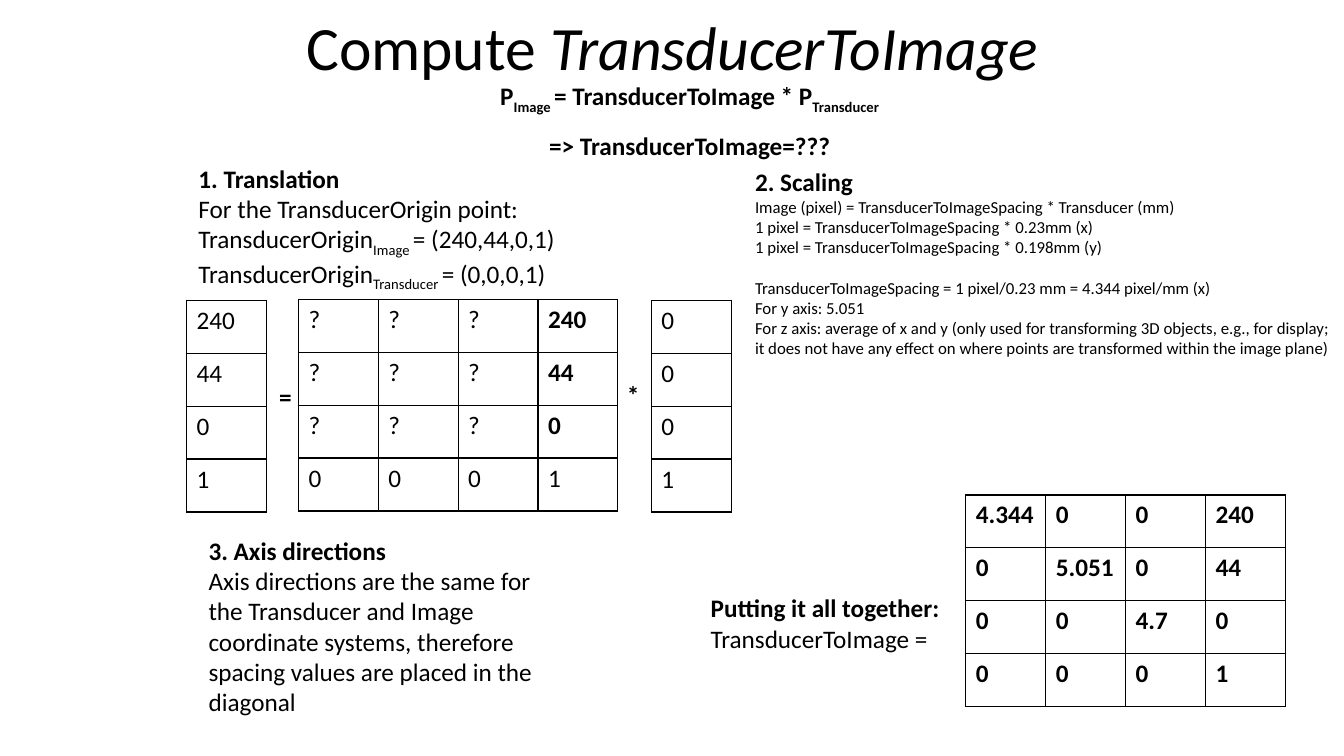
from lxml.etree import SubElement
from pptx import Presentation
from pptx.dml.color import RGBColor
from pptx.enum.text import MSO_ANCHOR, MSO_AUTO_SIZE as AutoSize, PP_ALIGN as Align
from pptx.oxml.ns import qn
from pptx.util import Inches, Pt

FONT, INK = "Calibri", "000000"
CELL_WIDTH, CELL_HEIGHT = 3.17 / 4, 2.1 / 4


def color(hex_code):
    return RGBColor.from_string(hex_code)


def add_run(paragraph, text, size=18, bold=False, italic=False, subscript=False):
    run = paragraph.add_run()
    run.text = text
    font = run.font
    font.name, font.size, font.bold, font.italic = FONT, Pt(size), bold, italic
    font.color.rgb = color(INK)
    if subscript:
        run._r.get_or_add_rPr().set("baseline", "-25000")


def add_note(slide, box, lines, wrap=False):
    """Each line is a list of (text, run format) pairs; returns the paragraphs."""
    frame = slide.shapes.add_textbox(*map(Inches, box)).text_frame
    frame.word_wrap = wrap
    frame.auto_size = AutoSize.SHAPE_TO_FIT_TEXT
    for index, line in enumerate(lines):
        paragraph = frame.add_paragraph() if index else frame.paragraphs[0]
        for text, style in line:
            add_run(paragraph, text, **style)
    return frame.paragraphs


def add_border(cell):
    properties = cell._tc.get_or_add_tcPr()
    for side in ("a:lnL", "a:lnR", "a:lnT", "a:lnB"):
        line = SubElement(properties, qn(side), w=str(Pt(1)))
        fill = SubElement(line, qn("a:solidFill"))
        SubElement(fill, qn("a:srgbClr"), val=INK)


def add_matrix(slide, left, top, rows, is_bold=lambda row, column: False):
    size = len(rows), len(rows[0])
    box = left, top, CELL_WIDTH * size[1], CELL_HEIGHT * size[0]
    table = slide.shapes.add_table(*size, *map(Inches, box)).table
    table.first_row = table.horz_banding = False
    for r, values in enumerate(rows):
        for c, value in enumerate(values):
            cell = table.cell(r, c)
            add_border(cell)
            cell.fill.background()
            add_run(cell.text_frame.paragraphs[0], value, bold=is_bold(r, c))


PLAIN, BOLD, SMALL = {}, {"bold": True}, {"size": 12}
SUB, BOLD_SUB = {"subscript": True}, {"bold": True, "subscript": True}


def add_heading(slide, left, top):
    # Title
    title = slide.shapes.title
    title.left, title.top, title.width, title.height = map(Inches, (left, top, 9, 0.92))
    title.text_frame.vertical_anchor = MSO_ANCHOR.MIDDLE
    title.text_frame.word_wrap = True
    paragraph = title.text_frame.paragraphs[0]
    paragraph.alignment = Align.CENTER
    add_run(paragraph, "Compute ", size=44)
    add_run(paragraph, "TransducerToImage", size=44, italic=True)
    # Equation to solve
    equation = add_note(slide, (left + 2.58, top + 0.75, 4.18, 0.86), [
        [("P", BOLD), ("Image ", BOLD_SUB),
         ("= TransducerToImage * P", BOLD), ("Transducer", BOLD_SUB)],
        [("=> TransducerToImage=???", BOLD)],
    ])
    for line in equation:
        line.alignment = Align.CENTER
    equation[1].line_spacing = 1.5


def add_translation(slide, left, top):
    add_note(slide, (left + 0.02, top, 3.83, 1.62), [
        [("1. Translation", BOLD)],
        [("For the TransducerOrigin point:", PLAIN)],
        [("TransducerOrigin", PLAIN), ("Image ", SUB), ("= (240,44,0,1)", PLAIN)],
        [("TransducerOrigin", PLAIN), ("Transducer ", SUB), ("= (0,0,0,1)", PLAIN)],
    ])
    # Image point = matrix * transducer point
    add_matrix(slide, left, top + 1.41, ["240", "44", "0", "1"] and [["240"], ["44"], ["0"], ["1"]])
    add_note(slide, (left + 0.82, top + 2.16, 0.33, 0.4), [[("=", BOLD)]])
    unknowns = [["?"] * 3 + [offset] for offset in ("240", "44", "0")]
    add_matrix(slide, left + 1.11, top + 1.4, unknowns + [["0", "0", "0", "1"]],
               is_bold=lambda row, column: column == 3 and row < 3)
    add_note(slide, (left + 4.27, top + 2.14, 0.33, 0.4), [[("*", BOLD)]])
    add_matrix(slide, left + 4.61, top + 1.41, [["0"], ["0"], ["0"], ["1"]])


def add_scaling(slide, left, top):
    steps = [
        "Image (pixel) = TransducerToImageSpacing * Transducer (mm)",
        "1 pixel = TransducerToImageSpacing * 0.23mm (x)",
        "1 pixel = TransducerToImageSpacing * 0.198mm (y)",
        "TransducerToImageSpacing = 1 pixel/0.23 mm = 4.344 pixel/mm (x)",
        "For y axis: 5.051",
        "For z axis: average of x and y (only used for transforming 3D objects, e.g., for display;",
        "it does not have any effect on where points are transformed within the image plane)",
    ]
    lines = add_note(slide, (left, top, 5.96, 2.22),
                     [[("2. Scaling", BOLD)]] + [[(step, SMALL)] for step in steps])
    lines[4].space_before = Pt(14.6)


def add_axis_directions(slide, left, top):
    add_note(slide, (left, top, 3.48, 1.92), [
        [("3. Axis directions", BOLD)],
        [("Axis directions are the same for the Transducer and Image coordinate "
          "systems, therefore spacing values are placed in the diagonal", PLAIN)],
    ], wrap=True)


def add_result(slide, left, top):
    add_note(slide, (left, top + 0.92, 2.5, 1.01), [
        [("Putting it all together:", BOLD)],
        [("TransducerToImage = ", PLAIN)],
    ])
    add_matrix(slide, left + 2.63, top, [
        ["4.344", "0", "0", "240"],
        ["0", "5.051", "0", "44"],
        ["0", "0", "4.7", "0"],
        ["0", "0", "0", "1"],
    ], is_bold=lambda row, column: True)


presentation = Presentation()
presentation.slide_width, presentation.slide_height = Inches(13.33), Inches(7.5)
slide = presentation.slides.add_slide(presentation.slide_layouts[5])
add_heading(slide, 2.17, 0)
add_translation(slide, 1.85, 1.57)
add_scaling(slide, 7.39, 1.6)
add_axis_directions(slide, 1.97, 5.26)
add_result(slide, 6.95, 4.91)
presentation.save("out.pptx")
